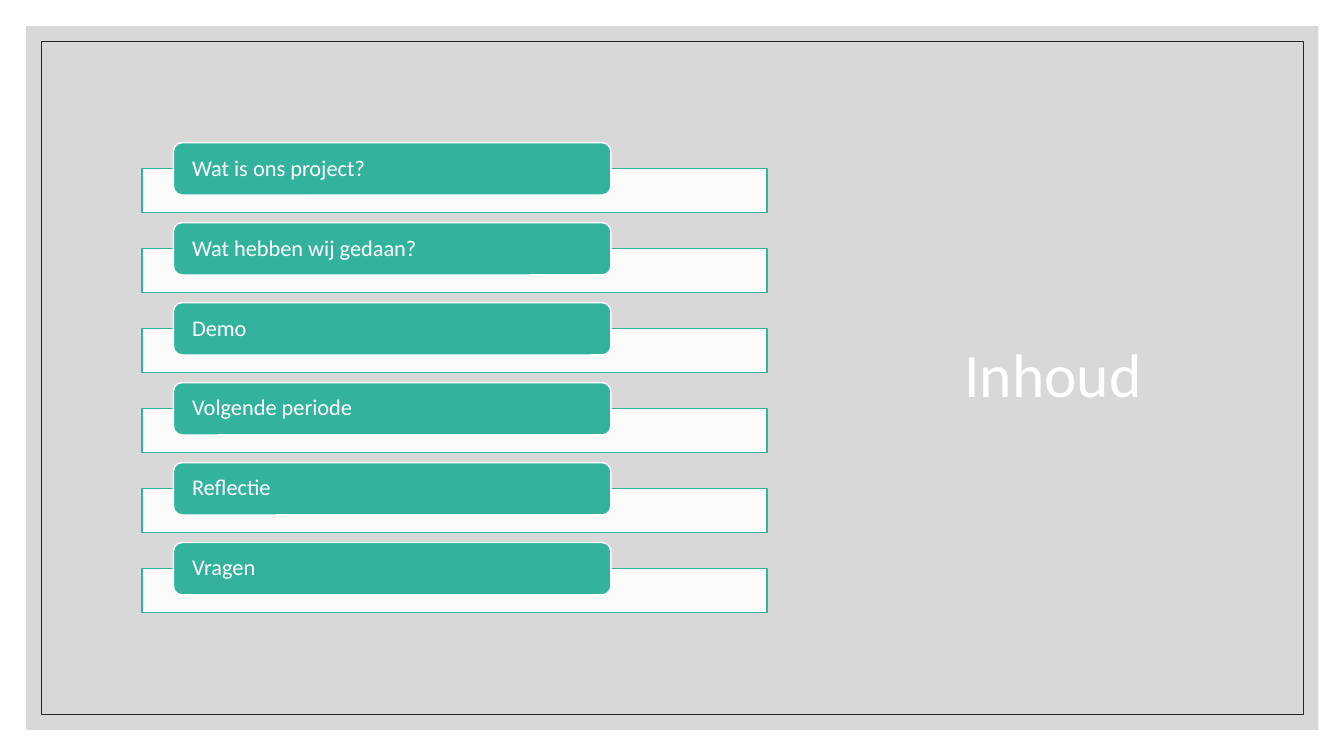
from dataclasses import dataclass

from lxml import etree
from pptx import Presentation, util as u
from pptx.dml.color import RGBColor
from pptx.enum import shapes, text
from pptx.oxml.ns import qn

WIDTH, HEIGHT = u.Inches(13.333), u.Inches(7.5)
WHITE, GREY, DARK, TEAL = "FFFFFF", "BFBFBF", "262626", "33B39E"
TOPICS = ["Wat is ons project?", "Wat hebben wij gedaan?", "Demo",
          "Volgende periode", "Reflectie", "Vragen"]
ROW_PITCH = 10.58


@dataclass(frozen=True)
class Box:
    """Position and size in percent of the slide's width and height."""
    left: float
    top: float
    width: float
    height: float

    def row(self, index):
        return Box(self.left, self.top + index * ROW_PITCH, self.width, self.height)

    def lengths(self):
        return [round(share * side / 100) for share, side in
                ((self.left, WIDTH), (self.top, HEIGHT),
                 (self.width, WIDTH), (self.height, HEIGHT))]


@dataclass(frozen=True)
class Style:
    fill: str | None = None
    opacity: int = 100
    line: str | None = None
    line_width: float = 1
    kind: shapes.MSO_SHAPE = shapes.MSO_SHAPE.RECTANGLE


PANELS = [
    (Box(0, 0, 100, 100), Style(WHITE)),
    (Box(1.95, 3.47, 96.15, 93.07), Style(GREY, opacity=60)),
    (Box(3.08, 5.47, 93.9, 89.07), Style(line=DARK, line_width=0.5)),
]
TITLE = Box(71.02, 9.33, 23.7, 81.2)
BAR = Box(10.58, 22.27, 46.5, 5.87)
PILL = Box(12.9, 18.87, 32.55, 6.93)
BAR_STYLE = Style(WHITE, opacity=90, line=TEAL)
PILL_STYLE = Style(TEAL, line=WHITE, kind=shapes.MSO_SHAPE.ROUNDED_RECTANGLE)


def colour(hex_string: str) -> RGBColor:
    return RGBColor.from_string(hex_string)


def draw_shape(slide, box: Box, style: Style):
    shape = slide.shapes.add_shape(style.kind, *box.lengths())
    shape.shadow.inherit = False
    if style.fill:
        shape.fill.solid()
        shape.fill.fore_color.rgb = colour(style.fill)
        if style.opacity < 100:
            fill_colour = shape.fill._xPr.find(qn("a:solidFill"))[0]
            etree.SubElement(fill_colour, qn("a:alpha"), val=str(style.opacity * 1000))
    else:
        shape.fill.background()
    if style.line:
        shape.line.color.rgb = colour(style.line)
        shape.line.width = u.Pt(style.line_width)
    else:
        shape.line.fill.background()
    return shape


def write_text(shape, words: str, *, size: float, side_inset: float = 0.1,
               end_inset: float = 0.05) -> None:
    """Fill a shape with left-aligned, vertically centred white text."""
    frame = shape.text_frame
    frame.word_wrap = True
    frame.vertical_anchor = text.MSO_ANCHOR.MIDDLE
    frame.margin_left = frame.margin_right = u.Inches(side_inset)
    frame.margin_top = frame.margin_bottom = u.Inches(end_inset)
    paragraph = frame.paragraphs[0]
    paragraph.alignment = text.PP_ALIGN.LEFT
    paragraph.line_spacing = 0.9
    run = paragraph.add_run()
    run.text = words
    run.font.name = "Calibri"
    run.font.size = u.Pt(size)
    run.font.color.rgb = colour(WHITE)


def main() -> None:
    presentation = Presentation()
    presentation.slide_width, presentation.slide_height = WIDTH, HEIGHT
    slide = presentation.slides.add_slide(presentation.slide_layouts[6])

    for box, style in PANELS:
        draw_shape(slide, box, style)
    title = slide.shapes.add_textbox(*TITLE.lengths())
    write_text(title, "Inhoud", size=44)
    for index, topic in enumerate(TOPICS):
        draw_shape(slide, BAR.row(index), BAR_STYLE)
        pill = draw_shape(slide, PILL.row(index), PILL_STYLE)
        write_text(pill, topic, size=16, side_inset=0.16, end_inset=0)

    presentation.save("out.pptx")


if __name__ == "__main__":
    main()
